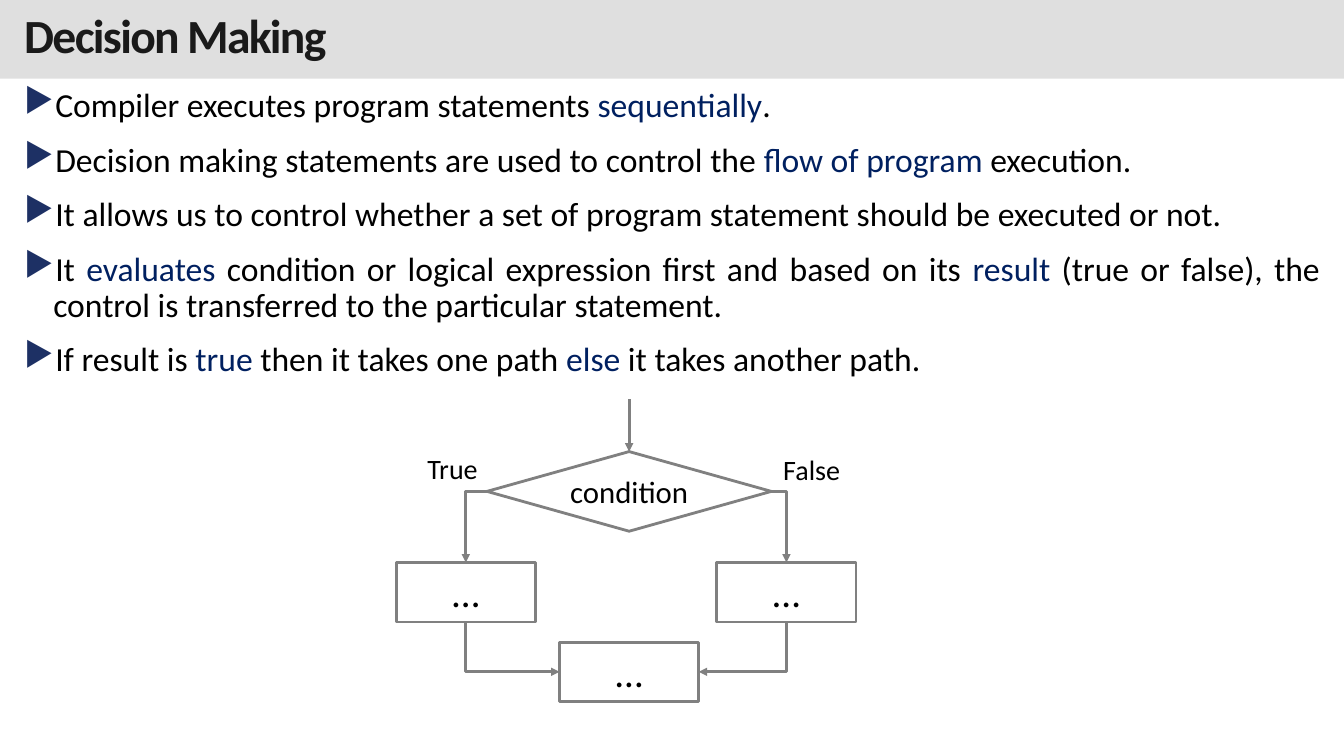
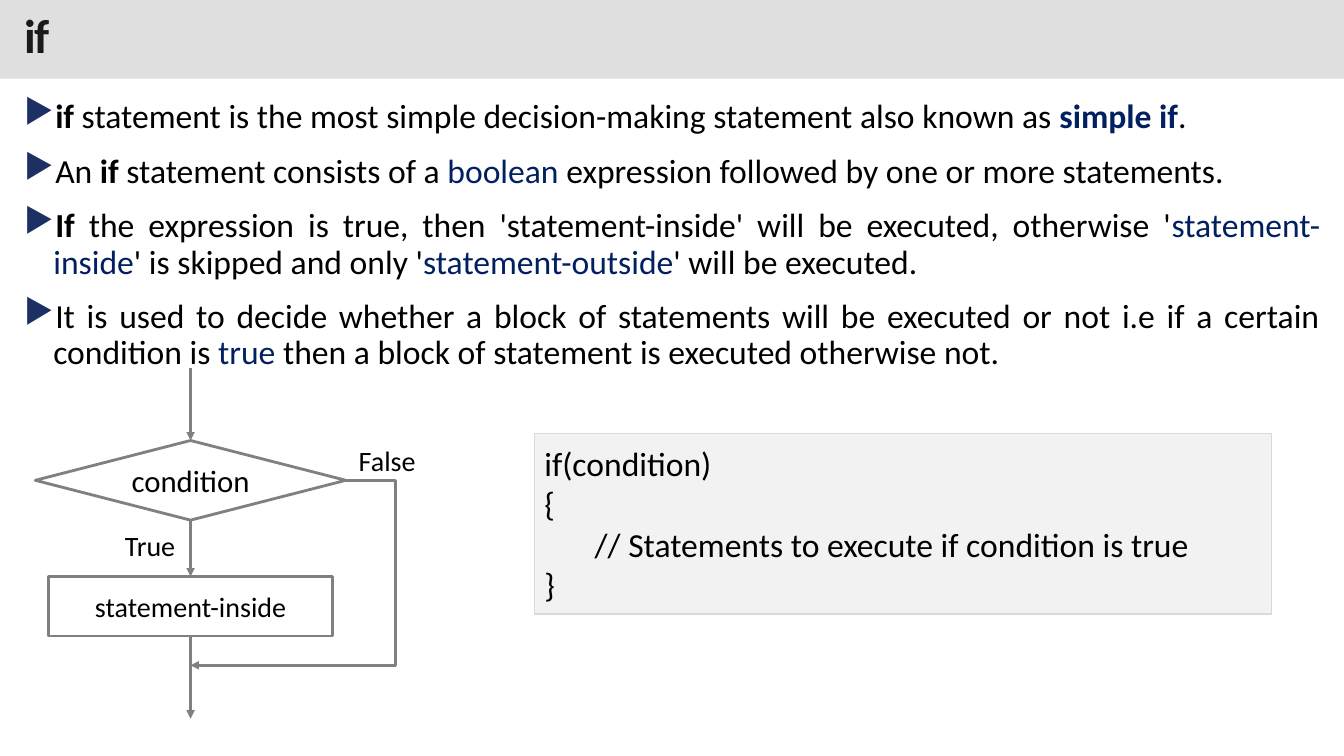
from lxml import etree
from pptx import Presentation
from pptx.dml.color import RGBColor
from pptx.enum import shapes, text
from pptx.oxml.ns import qn
from pptx.util import Inches, Pt

COLORS = {"band": "C0C0C0", "title": "1A1A1A", "body": "000000", "accent": "002060",
          "bullet": "1D3064", "flow": "808080", "code": "F2F2F2", "code_edge": "D9D9D9"}
RGB = {role: RGBColor.from_string(value) for role, value in COLORS.items()}
FONT = "Calibri"
DECISION = shapes.MSO_SHAPE.FLOWCHART_DECISION
PROCESS = shapes.MSO_SHAPE.FLOWCHART_PROCESS
STRAIGHT, ELBOW = shapes.MSO_CONNECTOR.STRAIGHT, shapes.MSO_CONNECTOR.ELBOW
TOP, LEFT, BOTTOM, RIGHT = range(4)


def add_step(slide, kind, label, size, left, top, width, height):
    place = [Inches(v) for v in (left, top, width, height)]
    if kind is None:
        step = slide.shapes.add_textbox(*place)
        step.text_frame.word_wrap = False
    else:
        step = slide.shapes.add_shape(kind, *place)
        step.shadow.inherit = False
        step.fill.background()
        step.line.color.rgb = RGB["flow"]
        step.line.width = Pt(2)
        step.text_frame.vertical_anchor = text.MSO_ANCHOR.MIDDLE
    step.text_frame.text = label
    for paragraph in step.text_frame.paragraphs:
        paragraph.alignment = text.PP_ALIGN.CENTER if kind else text.PP_ALIGN.LEFT
        paragraph.font.name = FONT
        paragraph.font.size = Pt(size)
        paragraph.font.color.rgb = RGB["body"]
    return step


def add_arrow(slide, start, finish, kind=STRAIGHT, preset=None, tip="tailEnd"):
    points = [Inches(v) if isinstance(v, (int, float)) else 0
              for v in (*start, *finish)]
    arrow = slide.shapes.add_connector(kind, *points)
    if not isinstance(start[0], (int, float)):
        arrow.begin_connect(*start)
    if not isinstance(finish[0], (int, float)):
        arrow.end_connect(*finish)
    arrow.line.color.rgb = RGB["flow"]
    arrow.line.width = Pt(2)
    properties = arrow._element.spPr
    etree.SubElement(properties.find(qn("a:ln")), qn("a:" + tip), type="triangle")
    etree.SubElement(properties, qn("a:effectLst"))
    if preset:
        properties.find(qn("a:prstGeom")).set("prst", preset)
    return arrow


LESSONS = [
    ("Decision Making", 0.83, 6.11, [
        [("Compiler executes program statements ", ""), ("sequentially", "accent"), (".", "")],
        [("Decision making statements are used to control the ", ""),
         ("flow of program", "accent"), (" execution.", "")],
        [("It allows us to control whether a set of program statement should be executed or not.", "")],
        [("It ", ""), ("evaluates", "accent"),
         (" condition or logical expression first and based on its ", ""), ("result", "accent"),
         (" (true or false), the control is transferred to the particular statement.", "")],
        [("If result is ", ""), ("true", "accent"), (" then it takes one path ", ""),
         ("else", "accent"), (" it takes another path.", "")],
    ]),
    ("if", 0.94, 3.01, [
        [("if", "bold"), (" statement is the most simple decision-making statement also known as ", ""),
         ("simple if", "accent bold"), (".", "")],
        [("An ", ""), ("if", "bold"), (" statement consists of a ", ""), ("boolean ", "accent"),
         ("expression followed by one or more statements.", "")],
        [("If", "bold"),
         (" the expression is true, then 'statement-inside' will be executed, otherwise '", ""),
         ("statement-inside", "accent"), ("' is skipped and only '", ""),
         ("statement-outside", "accent"), ("' will be executed.", "")],
        [("It is used to decide whether a block of statements will be executed or not i.e "
          "if a certain condition is ", ""), ("true", "accent"),
         (" then a block of statement is executed otherwise not.", "")],
    ]),
]

deck = Presentation()
deck.slide_width, deck.slide_height = Inches(13.33), Inches(7.5)

for heading, body_top, body_height, points in LESSONS:
    slide = deck.slides.add_slide(deck.slide_layouts[5])
    title = slide.shapes.title
    title.left, title.top = Inches(0), Inches(0)
    title.width, title.height = deck.slide_width, Inches(0.78)
    title.fill.solid()
    title.fill.fore_color.rgb = RGB["band"]
    band_color = title._element.spPr.find(qn("a:solidFill"))[0]
    etree.SubElement(band_color, qn("a:alpha"), val="50000")
    frame = title.text_frame
    frame.text = heading
    frame.auto_size = text.MSO_AUTO_SIZE.NONE
    frame.vertical_anchor = text.MSO_ANCHOR.MIDDLE
    frame.margin_left = frame.margin_right = Inches(0.24)
    frame.margin_top = frame.margin_bottom = Inches(0.12)
    line = frame.paragraphs[0]
    line.alignment = text.PP_ALIGN.LEFT
    line.line_spacing = 0.85
    line.font.name = FONT
    line.font.size = Pt(34)
    line.font.bold = True
    line.font.color.rgb = RGB["title"]
    line.runs[0]._r.get_or_add_rPr().set("spc", "-120")

    body = slide.shapes.add_textbox(Inches(0.14), Inches(body_top), Inches(13.05), Inches(body_height))
    body.text_frame.word_wrap = True
    for number, runs in enumerate(points):
        point = body.text_frame.add_paragraph() if number else body.text_frame.paragraphs[0]
        settings = point._p.get_or_add_pPr()
        settings.set("marL", str(Inches(0.29)))
        settings.set("indent", str(-Inches(0.29)))
        bullet_color = etree.SubElement(settings, qn("a:buClr"))
        etree.SubElement(bullet_color, qn("a:srgbClr"), val=COLORS["bullet"])
        etree.SubElement(settings, qn("a:buChar"), char="▶")
        point.alignment = text.PP_ALIGN.JUSTIFY
        point.line_spacing = 0.9
        point.space_before = Pt(13)
        point.font.name = FONT
        point.font.size = Pt(24)
        for words, style in runs:
            run = point.add_run()
            run.text = words
            run.font.color.rgb = RGB["accent" if "accent" in style else "body"]
            if "bold" in style:
                run.font.bold = True

decision_slide, if_slide = deck.slides

condition = add_step(decision_slide, DECISION, "condition", 22, 4.83, 4.48, 2.82, 0.79)
add_arrow(decision_slide, (6.24, 3.96), (condition, TOP))
merge = add_step(decision_slide, PROCESS, "…", 28, 5.55, 6.37, 1.38, 0.59)
for answer, label_left, label_top, label_width, branch_left, side in (
        ("True", 4.14, 4.43, 0.7, 3.93, LEFT), ("False", 7.67, 4.44, 0.8, 7.11, RIGHT)):
    add_step(decision_slide, None, answer, 20, label_left, label_top, label_width, 0.44)
    branch = add_step(decision_slide, PROCESS, "…", 28, branch_left, 5.58, 1.38, 0.59)
    add_arrow(decision_slide, (condition, side), (branch, TOP), ELBOW, "bentConnector2")
    add_arrow(decision_slide, (merge, side), (branch, BOTTOM), ELBOW, "bentConnector2", "headEnd")

code = add_step(if_slide, shapes.MSO_SHAPE.RECTANGLE,
                "if(condition)\n{\n// Statements to execute if condition is true\n}",
                24, 5.3, 4.3, 7.31, 1.79)
code.fill.solid()
code.fill.fore_color.rgb = RGB["code"]
code.line.color.rgb = RGB["code_edge"]
code.line.width = Pt(1)
for code_line in code.text_frame.paragraphs:
    code_line.alignment = text.PP_ALIGN.LEFT
code.text_frame.paragraphs[2]._p.get_or_add_pPr().set("marL", str(Inches(0.5)))

condition = add_step(if_slide, DECISION, "condition", 22, 0.35, 4.37, 3.08, 0.79)
inside = add_step(if_slide, PROCESS, "statement-inside", 20, 0.48, 5.72, 2.82, 0.59)
add_step(if_slide, None, "True", 20, 1.14, 5.19, 0.7, 0.44)
add_step(if_slide, None, "False", 20, 3.46, 4.35, 0.8, 0.44)
add_arrow(if_slide, (1.89, 3.65), (condition, TOP))
add_arrow(if_slide, (condition, BOTTOM), (inside, TOP))
add_arrow(if_slide, (inside, BOTTOM), (1.89, 7.13))
skip = add_arrow(if_slide, (condition, RIGHT), (1.89, 6.6), ELBOW)
bend = skip._element.spPr.find(qn("a:prstGeom")).find(qn("a:avLst"))
etree.SubElement(bend, qn("a:gd"), name="adj1", fmla="val -32000")

deck.save("out.pptx")
